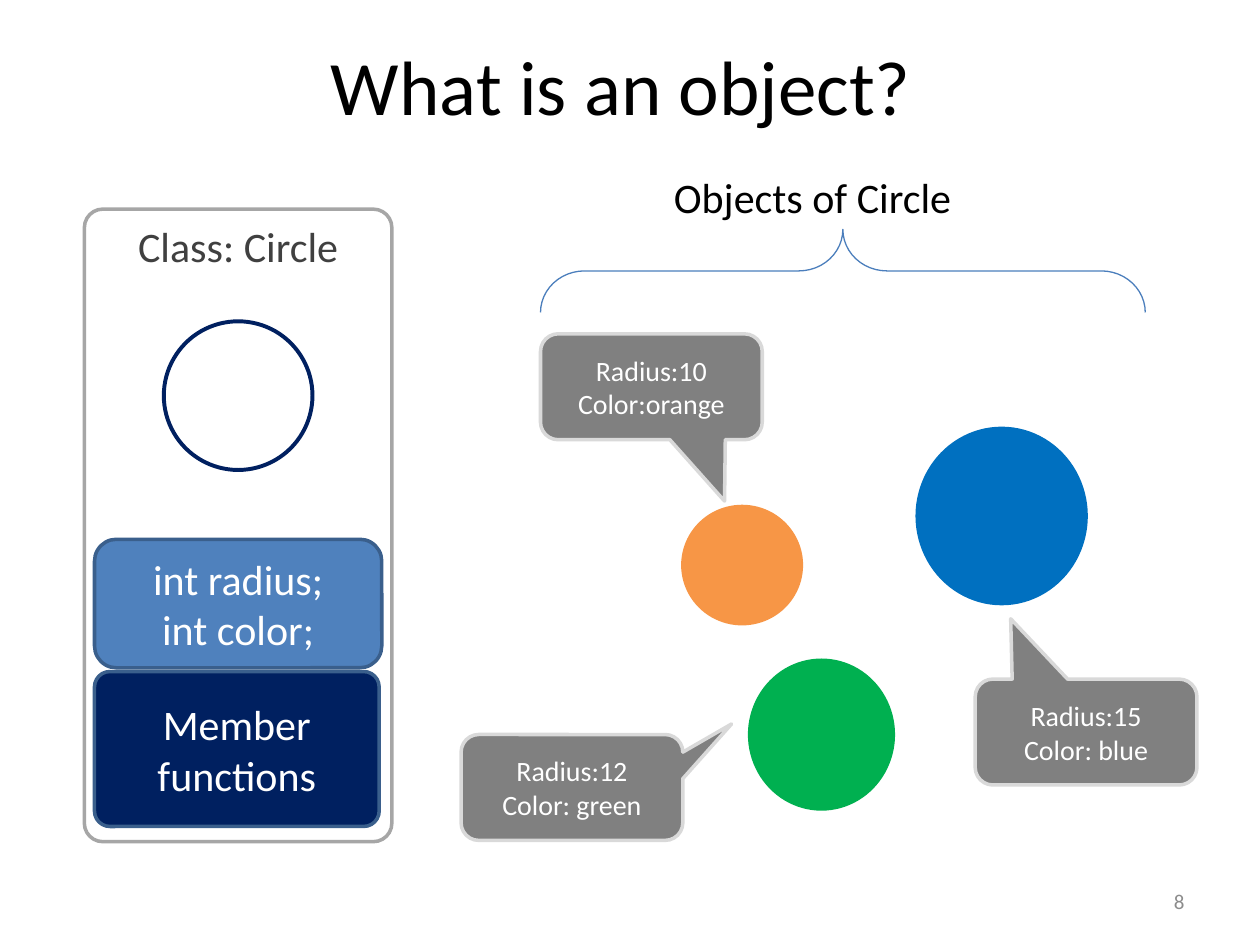
from pptx import Presentation
from pptx.dml.color import RGBColor
from pptx.enum import shapes, text
from pptx.util import Inches, Pt

FONT = "Calibri"
TITLE = "What is an object? "
KIND = shapes.MSO_SHAPE
ALIGN = text.PP_ALIGN
ANCHOR = text.MSO_ANCHOR

# Class card parts: kind, box, corner, fill, line, line width, lines, text colour, anchor
CLASS_PARTS = [
    (KIND.ROUNDED_RECTANGLE, (0.67, 1.66, 2.44, 5.02), 0.06, None, "A6A6A6", 2,
     ["Class: Circle"], "404040", ANCHOR.TOP),
    (KIND.ROUNDED_RECTANGLE, (0.75, 4.28, 2.28, 1.02), 0.17, "4F81BD", "3A5F8C", 2,
     ["int radius;", "int color;"], "FFFFFF", ANCHOR.MIDDLE),
    (KIND.ROUNDED_RECTANGLE, (0.75, 5.33, 2.26, 1.23), 0.1, "002060", "3A5F8C", 2,
     ["Member functions"], "FFFFFF", ANCHOR.MIDDLE),
    (KIND.OVAL, (1.3, 2.55, 1.18, 1.18), None, None, "002060", 2.25,
     [], "FFFFFF", ANCHOR.MIDDLE),
]

# Circle box, circle colour, callout corner, callout tip, callout lines
OBJECTS = [
    ((5.42, 4.02, 0.94, 0.93), "F79646", (4.29, 2.65), (0.33, 1.08),
     ["Radius:10", "Color:orange"]),
    ((7.28, 3.4, 1.34, 1.39), "0070C0", (7.74, 5.39), (-0.34, -1.07),
     ["Radius:15", "Color: blue"]),
    ((5.95, 5.24, 1.14, 1.18), "00B050", (3.66, 5.83), (0.72, -0.6),
     ["Radius:12", "Color: green"]),
]
CALLOUT_SIZE = (1.76, 0.84)


def color(value):
    return RGBColor.from_string(value)


def write(shape, lines, size, font_color, align, anchor):
    frame = shape.text_frame
    frame.word_wrap = True
    frame.vertical_anchor = anchor
    for index, line in enumerate(lines):
        paragraph = frame.paragraphs[0] if index == 0 else frame.add_paragraph()
        paragraph.alignment = align
        run = paragraph.add_run()
        run.text = line
        run.font.name = FONT
        run.font.size = Pt(size)
        run.font.color.rgb = color(font_color)


def add_shape(slide, kind, box, fill, line, width, adjustments=()):
    shape = slide.shapes.add_shape(kind, *map(Inches, box))
    shape.shadow.inherit = False
    if fill:
        shape.fill.solid()
        shape.fill.fore_color.rgb = color(fill)
    else:
        shape.fill.background()
    shape.line.color.rgb = color(line)
    shape.line.width = Pt(width)
    for index, value in enumerate(adjustments):
        shape.adjustments[index] = value
    return shape


def add_label(slide, box, line, size, font_color, align, anchor):
    label = slide.shapes.add_textbox(*map(Inches, box))
    write(label, [line], size, font_color, align, anchor)


def main():
    presentation = Presentation()
    presentation.slide_width, presentation.slide_height = Inches(10), Inches(7.5)
    slide = presentation.slides.add_slide(presentation.slide_layouts[5])

    title = slide.shapes.title
    title.left, title.top, title.width, title.height = map(Inches, (0.5, 0.05, 9, 1.25))
    write(title, [TITLE], 44, "000000", ALIGN.CENTER, ANCHOR.MIDDLE)
    add_label(slide, (7.17, 6.95, 2.33, 0.4), "8", 12, "8C8C8C", ALIGN.RIGHT, ANCHOR.MIDDLE)

    for kind, box, corner, fill, line, width, lines, font_color, anchor in CLASS_PARTS:
        adjustments = [] if corner is None else [corner]
        part = add_shape(slide, kind, box, fill, line, width, adjustments)
        write(part, lines, 24, font_color, ALIGN.CENTER, anchor)

    for box, fill, *_ in OBJECTS:
        add_shape(slide, KIND.OVAL, box, fill, fill, 2)
    for _, _, corner, tip, lines in OBJECTS:
        callout = add_shape(slide, KIND.ROUNDED_RECTANGULAR_CALLOUT, corner + CALLOUT_SIZE,
                            "808080", "D9D9D9", 2, tip)
        write(callout, lines, 16, "FFFFFF", ALIGN.CENTER, ANCHOR.MIDDLE)

    brace = add_shape(slide, KIND.RIGHT_BRACE, (6.36, -0.25, 0.66, 4.8), None,
                      "4B7EBC", 0.75, (0.53, 0.5))
    brace.rotation = 270
    add_label(slide, (5.25, 1.31, 2.89, 0.5), "Objects of Circle", 24, "000000",
              ALIGN.LEFT, ANCHOR.TOP)

    presentation.save("out.pptx")


if __name__ == "__main__":
    main()
